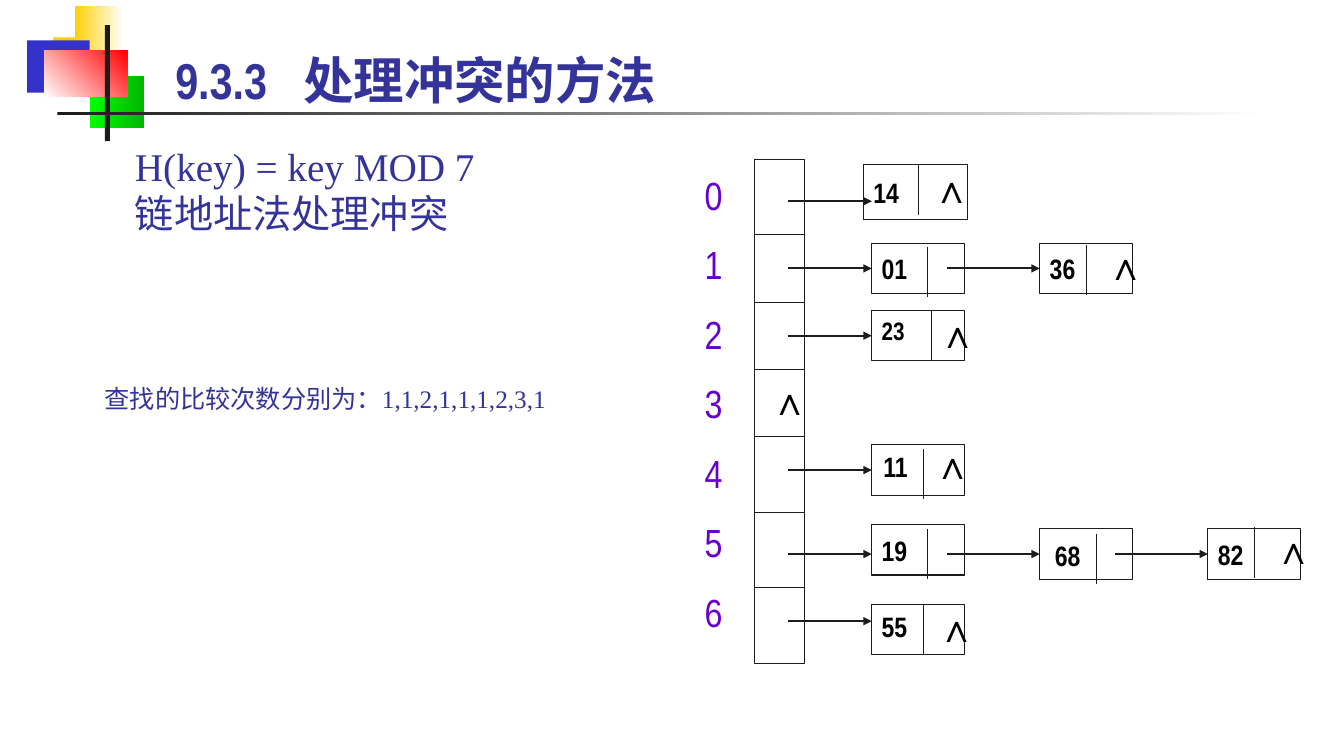
from collections import namedtuple

from lxml import etree
from pptx import Presentation
from pptx.dml.color import RGBColor
from pptx.enum.shapes import MSO_CONNECTOR as LINE, MSO_SHAPE as SHAPE
from pptx.enum.text import MSO_ANCHOR as ANCHOR, PP_ALIGN as ALIGN
from pptx.oxml.ns import qn
from pptx.util import Inches, Pt

INK = RGBColor(0x1C, 0x1C, 0x1C)
BLACK = RGBColor(0, 0, 0)
WHITE = RGBColor(0xFF, 0xFF, 0xFF)
NAVY = RGBColor(0x33, 0x33, 0x99)
PURPLE = RGBColor(0x66, 0x00, 0xCC)
YELLOW = RGBColor(0xFF, 0xCF, 0x01)
BLUE = RGBColor(0x33, 0x33, 0xCC)
LIME = RGBColor(0x00, 0xFF, 0x00)
GREEN = RGBColor(0x00, 0xB6, 0x00)
RED = RGBColor(0xFF, 0x00, 0x00)

NARROW, SERIF = "Arial Narrow", "Times New Roman"
UNIT = 1 / 12
NIL = "∧"
ROW_HEIGHTS = (9, 8, 8, 8, 9, 9, 9)
TABLE_W = 6
NODE_W, NODE_H, NODE_PITCH, FIRST_NODE = 11, 6, 20, 14

Node = namedtuple("Node", "key top divider nil label size width height shift",
                  defaults=(None, None, 20, NODE_W, NODE_H, 0))
Chain = namedtuple("Chain", "arrow_y nodes")

CHAINS = (
    Chain(5, [Node("14", 0.6, (6.6, 0), nil=(7.1, -0.6), width=12.4, height=6.6, shift=-1)]),
    Chain(13, [Node("01", 10, (6.6, 0.4)),
               Node("36", 10, (5.5, 0.2), nil=(6.8, -0.8))]),
    Chain(21, [Node("23", 18, (7.1, 0), nil=(6.8, -0.7), label=(0, 0), size=18)]),
    Chain(37, [Node("11", 34, (6.1, 0.5), nil=(6.2, -1.1), label=(0.2, 0))]),
    Chain(47, [Node("19", 43.5, (6.6, 0.5)),
               Node("68", 44, (6.8, 0.6), label=(0.6, 0.6)),
               Node("82", 44, (5.6, -0.2), nil=(6.7, -1))]),
    Chain(55, [Node("55", 53, (6.1, 0), nil=(6.6, -0.7), label=(0, 0))]),
)


def write(tf, text, size, font=NARROW, color=BLACK, bold=False, wrap=False,
          anchor=ANCHOR.TOP, gap=0, tab=None):
    """Fill a text frame, one paragraph for each line of text."""
    tf.word_wrap = wrap
    tf.vertical_anchor = anchor
    for i, line in enumerate(text.split("\n")):
        p = tf.paragraphs[0] if i == 0 else tf.add_paragraph()
        p.alignment = ALIGN.LEFT
        if tab:
            tabs = etree.SubElement(p._p.get_or_add_pPr(), qn("a:tabLst"))
            etree.SubElement(tabs, qn("a:tab"), pos=str(Inches(tab)), algn="l")
        if i and gap:
            p.space_before = Pt(gap)
        r = p.add_run()
        r.text = line
        r.font.size, r.font.name, r.font.bold = Pt(size), font, bold
        r.font.color.rgb = color


def add_text(s, box, text, size, **style):
    """Add a text box."""
    write(s.shapes.add_textbox(*map(Inches, box)).text_frame, text, size, **style)


def add_rect(s, box, colors=(), angle=0, line=None):
    """Add a rectangle with no fill, one colour or a two-colour gradient."""
    sp = s.shapes.add_shape(SHAPE.RECTANGLE, *map(Inches, box))
    sp.shadow.inherit = False
    if len(colors) == 2:
        sp.fill.gradient()
        sp.fill.gradient_angle = angle
        for stop, color in zip(sp.fill.gradient_stops, colors):
            stop.color.rgb = color
    elif colors:
        sp.fill.solid()
        sp.fill.fore_color.rgb = colors[0]
    else:
        sp.fill.background()
    if line:
        sp.line.color.rgb, sp.line.width = line, Pt(0.75)
    else:
        sp.line.fill.background()
    return sp


def add_line(s, x1, y1, x2, y2, width=0.75, arrow=False):
    """Add a straight line, with an arrowhead at its end if asked."""
    c = s.shapes.add_connector(LINE.STRAIGHT, *map(Inches, (x1, y1, x2, y2)))
    c.line.color.rgb, c.line.width = INK, Pt(width)
    if arrow:
        etree.SubElement(c.line._get_or_add_ln(), qn("a:tailEnd"), type="triangle")
    etree.SubElement(c._element.spPr, qn("a:effectLst"))
    return c


def add_header(s, x, y):
    """Draw the coloured blocks, the rules and the title."""
    for dx, dy, w, h, colors, angle in (
            (0.26, 0.31, 0.64, 0.52, (YELLOW,), 0),
            (0.47, 0, 0.48, 0.52, (YELLOW, WHITE), 0),
            (0, 0.34, 0.62, 0.52, (BLUE,), 0),
            (0.62, 0.69, 0.54, 0.52, (LIME, GREEN), 0),
            (0.17, 0.44, 0.82, 0.46, (WHITE, RED), 45),
            (0.77, 0.19, 0.05, 1.15, (INK,), 0),
            (0.3, 1.05, 12, 0.03, (INK, WHITE), 0)):
        add_rect(s, (x + dx, y + dy, w, h), colors, angle)
    add_text(s, (x + 1.37, y + 0.38, 5.86, 0.7), "9.3.3\t处理冲突的方法", 36,
             color=NAVY, bold=True, wrap=True, tab=1.27)


def add_notes(s, x, y):
    """Write the hash function and the comparison counts."""
    add_text(s, (x + 0.3, y, 3.61, 1.04), "H(key) = key MOD 7\n链地址法处理冲突", 28,
             font=SERIF, color=NAVY)
    add_text(s, (x, y + 2.39, 4.68, 0.4), "查找的比较次数分别为：1,1,2,1,1,1,2,3,1", 18,
             font=SERIF, color=NAVY)


def add_nil(s, x, y):
    """Mark an empty link."""
    add_text(s, (x, y, 0.44, 0.57), NIL, 28, bold=True)


def add_node(s, x, y, node):
    """Draw one list node: key, divider and empty link."""
    sp = add_rect(s, (x, y, node.width * UNIT, node.height * UNIT), line=INK)
    dx, dy = (d * UNIT for d in node.divider)
    add_line(s, x + dx, y + dy, x + dx, y + dy + NODE_H * UNIT)
    if node.label:
        lx, ly = (d * UNIT for d in node.label)
        add_text(s, (x + lx, y + ly, 0.46, 0.44), node.key, node.size, bold=True)
    else:
        write(sp.text_frame, node.key, node.size, bold=True, wrap=True,
              anchor=ANCHOR.MIDDLE)
    if node.nil:
        add_nil(s, x + node.nil[0] * UNIT, y + node.nil[1] * UNIT)
    return sp


def add_chain(s, x, y, chain):
    """Draw the nodes of one bucket and the arrows that lead to them."""
    arrow_y = y + chain.arrow_y * UNIT
    for i, node in enumerate(chain.nodes):
        end = FIRST_NODE + i * NODE_PITCH
        start = end - NODE_W if i else 4
        sp = add_node(s, x + (end + node.shift) * UNIT, y + node.top * UNIT, node)
        c = add_line(s, x + start * UNIT, arrow_y, x + end * UNIT, arrow_y, 1.5, True)
        if node.top + node.height / 2 == chain.arrow_y:
            c.end_connect(sp, 1)


def add_hash_table(s, x, y):
    """Draw the bucket column, its indices and all chains."""
    width = TABLE_W * UNIT
    add_rect(s, (x, y, width, sum(ROW_HEIGHTS) * UNIT), line=INK)
    for i in range(1, len(ROW_HEIGHTS)):
        row_y = y + sum(ROW_HEIGHTS[:i]) * UNIT
        add_line(s, x, row_y, x + width, row_y)
    add_text(s, (x - 0.59, y + 0.07, 0.58, 4.78),
             "\n".join(map(str, range(len(ROW_HEIGHTS)))), 28,
             color=PURPLE, wrap=True, gap=16)
    add_nil(s, x + 0.06, y + 2.1)
    for chain in CHAINS:
        add_chain(s, x, y, chain)


def main():
    """Build the slide and save it."""
    prs = Presentation()
    prs.slide_width, prs.slide_height = Inches(13.33), Inches(7.5)
    s = prs.slides.add_slide(prs.slide_layouts[6])
    add_header(s, 0.27, 0.06)
    add_notes(s, 0.94, 1.36)
    add_hash_table(s, 7.48, 1.58)
    prs.save("out.pptx")


if __name__ == "__main__":
    main()
